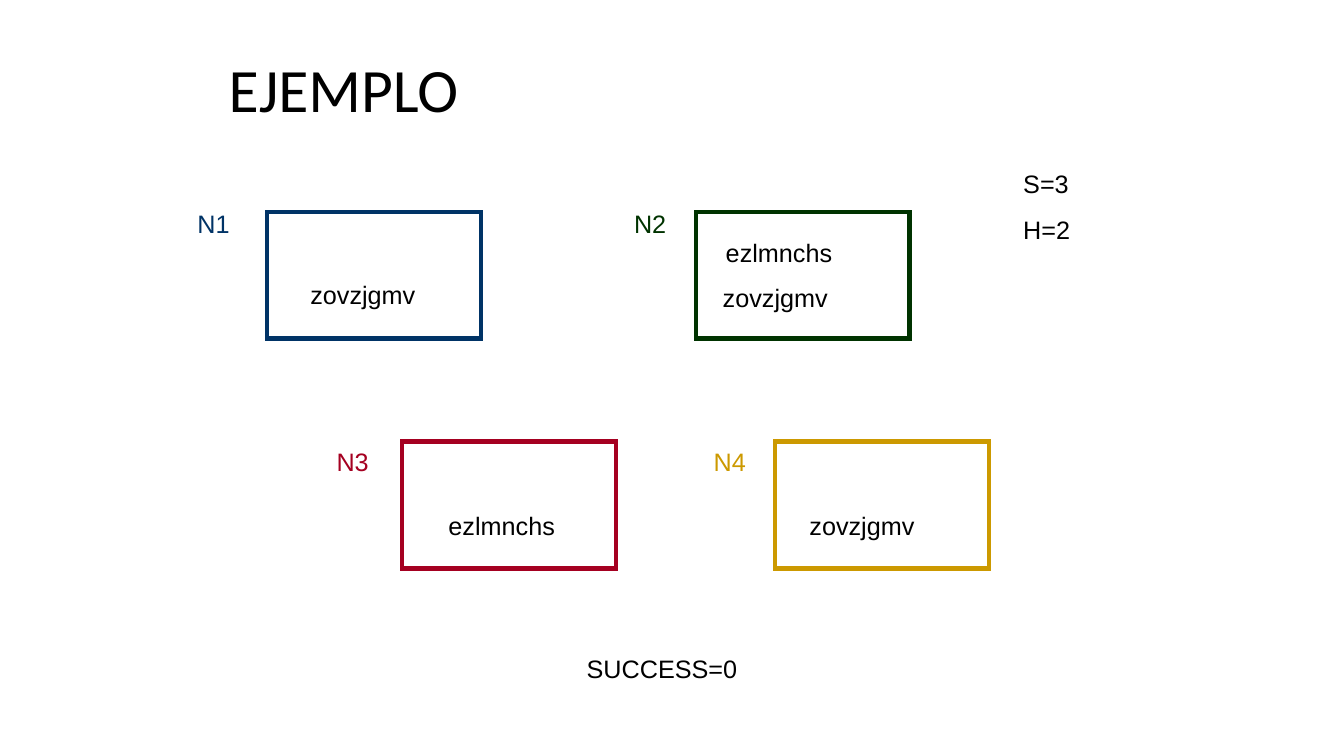
from lxml.etree import SubElement
from pptx import Presentation
from pptx.dml.color import RGBColor
from pptx.enum.shapes import MSO_SHAPE as Shape
from pptx.enum.text import MSO_ANCHOR as Anchor, MSO_AUTO_SIZE as Fit
from pptx.oxml.ns import qn
from pptx.util import Inches, Pt

BLACK = RGBColor(0x00, 0x00, 0x00)
BLUE = RGBColor(0x00, 0x33, 0x66)
GREEN = RGBColor(0x00, 0x33, 0x00)
RED = RGBColor(0xA5, 0x00, 0x21)
GOLD = RGBColor(0xCC, 0x99, 0x00)

# name, colour, box left and top, label left, top and width, words (text, left, top)
NODES = [
    ("N1", BLUE, 2.65, 2.1, 1.86, 2.02, 0.71, [("zovzjgmv", 2.98, 2.72)]),
    ("N2", GREEN, 6.9, 2.1, 6.19, 2.02, 0.59,
     [("ezlmnchs", 7.1, 2.31), ("zovzjgmv", 7.07, 2.75)]),
    ("N3", RED, 3.99, 4.38, 3.24, 4.38, 0.67, [("ezlmnchs", 4.35, 5.01)]),
    ("N4", GOLD, 7.69, 4.38, 6.98, 4.38, 0.71, [("zovzjgmv", 7.93, 5.01)]),
]


def add_text(slide, text, left, top, width, height=0.41, color=BLACK,
             font="Arial", size=18, before=0, wrap=True):
    box = slide.shapes.add_textbox(Inches(left), Inches(top),
                                   Inches(width), Inches(height))
    frame = box.text_frame
    frame.text = text
    frame.word_wrap = wrap
    frame.auto_size = Fit.SHAPE_TO_FIT_TEXT
    for para in frame.paragraphs:
        para.space_before = Pt(before)
        for run in para.runs:
            run.font.name = font
            run.font.size = Pt(size)
            run.font.color.rgb = color
    return frame


def add_title(slide, text):
    frame = add_text(slide, text, 2.17, 0.3, 8.99, 1.24, font="Calibri", size=44)
    frame.auto_size = Fit.NONE
    frame.vertical_anchor = Anchor.MIDDLE
    frame.paragraphs[0].line_spacing = 0.9


def add_frame(slide, left, top, color):
    """Draw an unfilled node box with sharp corners."""
    rect = slide.shapes.add_shape(Shape.RECTANGLE, Inches(left), Inches(top),
                                  Inches(2.12), Inches(1.26))
    rect.shadow.inherit = False
    rect.fill.background()
    rect.line.color.rgb = color
    rect.line.width = Pt(3)
    line = rect.element.spPr.find(qn("a:ln"))
    SubElement(line, qn("a:miter"), lim="800000")


def add_node(slide, name, color, left, top, tag_left, tag_top, tag_width, words):
    add_frame(slide, left, top, color)
    add_text(slide, name, tag_left, tag_top, tag_width, color=color, before=11.2)
    for word, x, y in words:
        add_text(slide, word, x, y, 1.27, wrap=False)


def main():
    deck = Presentation()
    deck.slide_width = Inches(13.33)
    deck.slide_height = Inches(7.5)
    slide = deck.slides.add_slide(deck.slide_layouts[6])
    add_title(slide, "EJEMPLO")
    for node in NODES:
        add_node(slide, *node)
    add_text(slide, "S=3\nH=2", 10.05, 1.62, 0.95, 0.86, before=11.2)
    add_text(slide, "SUCCESS=0", 5.72, 6.43, 2.05, before=11.2)
    deck.save("out.pptx")


if __name__ == "__main__":
    main()
